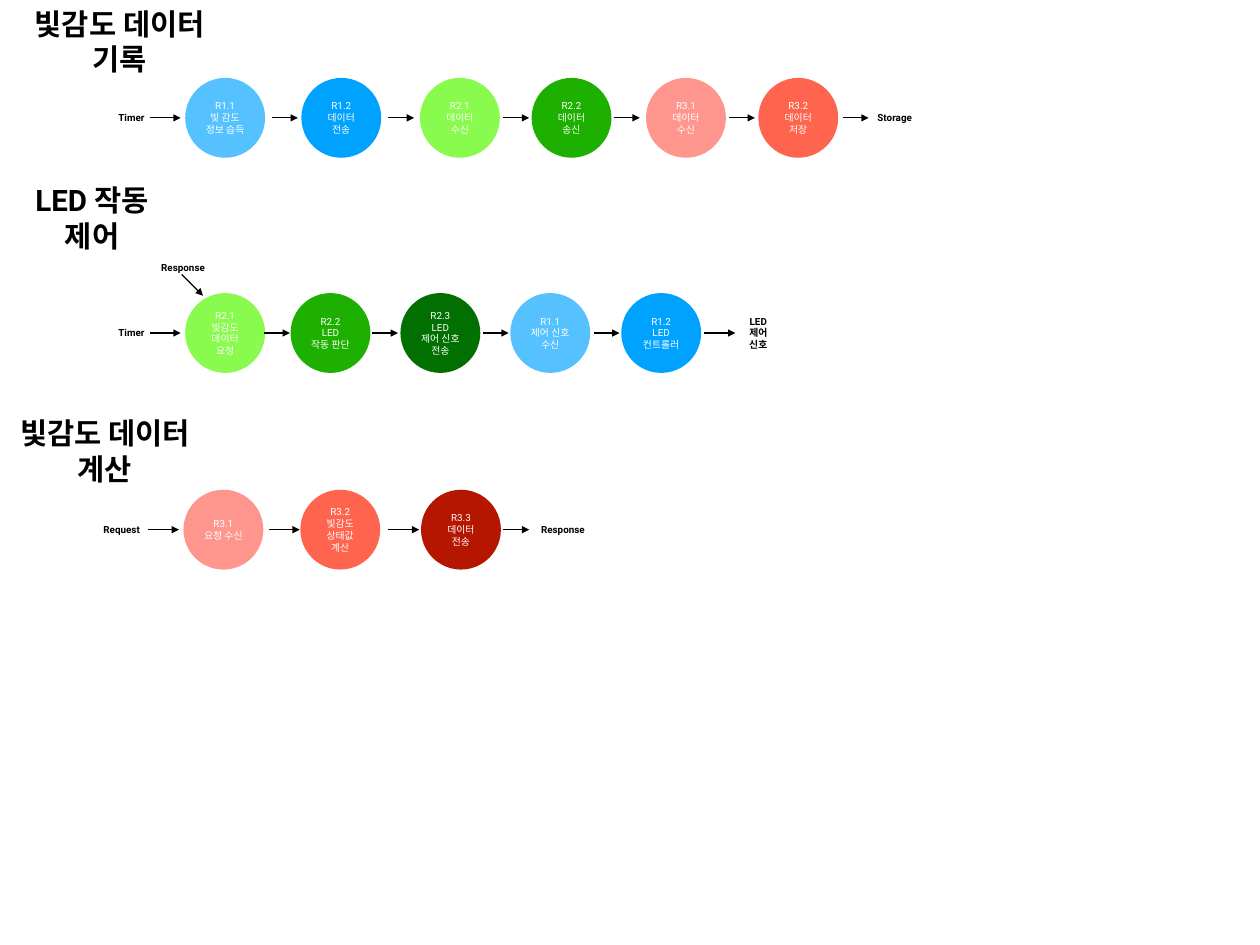
from dataclasses import dataclass

from lxml.etree import SubElement
from pptx import Presentation
from pptx.dml.color import RGBColor
from pptx.enum.shapes import MSO_CONNECTOR, MSO_SHAPE
from pptx.enum.text import MSO_ANCHOR, MSO_AUTO_SIZE, PP_ALIGN
from pptx.oxml.ns import qn
from pptx.util import Cm, Pt


@dataclass(frozen=True)
class Theme:
    font: str = "Roboto"
    ink: str = "000000"
    paper: str = "FFFFFF"
    light_blue: str = "56C1FF"
    blue: str = "00A2FF"
    light_green: str = "89FA4E"
    green: str = "1EB001"
    dark_green: str = "027001"
    light_red: str = "FF968D"
    red: str = "FF644E"
    dark_red: str = "B51600"
    heading_size: float = 24
    body_size: float = 8
    line_width: float = 1


THEME = Theme()
DIAMETER = 2.29
INSET = 0.15
SHORT, LONG = 0.74, 0.89

FLOWS = [
    {
        "heading": ("빛감도 데이터 기록", 3.43, 1.18, 5.2),
        "middle": 3.38,
        "steps": [
            (5.31, THEME.light_blue, "R1.1\n빛 감도 정보 습득"),
            (8.64, THEME.blue, "R1.2\n데이터 전송"),
            (12.04, THEME.light_green, "R2.1\n데이터 수신"),
            (15.24, THEME.green, "R2.2\n데이터 송신"),
            (18.52, THEME.light_red, "R3.1\n데이터 수신"),
            (21.74, THEME.red, "R3.2\n데이터 저장"),
        ],
        "arrows": [(4.29, LONG), (7.8, SHORT), (11.13, SHORT), (14.43, SHORT),
                   (17.6, SHORT), (20.9, SHORT), (24.16, SHORT)],
        "labels": [("Timer", 3.77), ("Storage", 25.65)],
    },
    {
        "heading": ("LED 작동 제어", 2.64, 6.24, 4.2),
        "middle": 9.55,
        "steps": [
            (5.31, THEME.light_green, "R2.1\n빛감도 데이터\n요청"),
            (8.33, THEME.green, "R2.2\nLED\n작동 판단"),
            (11.48, THEME.dark_green, "R2.3\nLED\n제어 신호 전송"),
            (14.63, THEME.light_blue, "R1.1\n제어 신호 수신"),
            (17.81, THEME.blue, "R1.2\nLED\n컨트롤러"),
        ],
        "arrows": [(4.29, LONG), (7.57, SHORT), (10.67, SHORT), (13.84, SHORT),
                   (17.02, SHORT), (20.19, LONG)],
        "labels": [("Timer", 3.77)],
    },
    {
        "heading": ("빛감도 데이터 계산", 3.01, 12.92, 5.2),
        "middle": 15.19,
        "steps": [
            (5.26, THEME.light_red, "R3.1\n요청 수신"),
            (8.61, THEME.red, "R3.2\n빛감도 상태값\n계산"),
            (12.07, THEME.dark_red, "R3.3\n데이터 전송"),
        ],
        "arrows": [(4.24, LONG), (7.7, LONG), (11.13, LONG), (14.43, SHORT)],
        "labels": [("Request", 3.49), ("Response", 16.14)],
    },
]


def write_text(shape, text, size, color, bold, wrap=True):
    frame = shape.text_frame
    frame.text = text
    frame.word_wrap = wrap
    frame.auto_size = MSO_AUTO_SIZE.NONE
    frame.vertical_anchor = MSO_ANCHOR.MIDDLE
    frame.margin_left = frame.margin_right = Cm(INSET)
    frame.margin_top = frame.margin_bottom = Cm(INSET)
    for paragraph in frame.paragraphs:
        paragraph.alignment = PP_ALIGN.CENTER
        paragraph.font.name = THEME.font
        paragraph.font.size = Pt(size)
        paragraph.font.bold = bold
        paragraph.font.color.rgb = RGBColor.from_string(color)


def place_centered(shape, center, middle, width, height):
    shape.left, shape.top = Cm(center - width / 2), Cm(middle - height / 2)
    shape.width, shape.height = Cm(width), Cm(height)


def format_heading(shape, text, center, middle, width):
    place_centered(shape, center, middle, width, 2.4)
    write_text(shape, text, THEME.heading_size, THEME.ink, True)


def add_label(slide, text, center, middle, width=1.5, height=0.64, wrap=False):
    label = slide.shapes.add_textbox(0, 0, 0, 0)
    place_centered(label, center, middle, width, height)
    write_text(label, text, THEME.body_size, THEME.ink, True, wrap)


def add_step(slide, left, middle, color, text):
    circle = slide.shapes.add_shape(
        MSO_SHAPE.OVAL, Cm(left), Cm(middle - DIAMETER / 2), Cm(DIAMETER), Cm(DIAMETER))
    circle.shadow.inherit = False
    circle.fill.solid()
    circle.fill.fore_color.rgb = RGBColor.from_string(color)
    circle.line.fill.background()
    write_text(circle, text, THEME.body_size, THEME.paper, False)


def add_arrow(slide, start_x, start_y, end_x, end_y):
    arrow = slide.shapes.add_connector(
        MSO_CONNECTOR.STRAIGHT, Cm(start_x), Cm(start_y), Cm(end_x), Cm(end_y))
    arrow.line.width = Pt(THEME.line_width)
    arrow.line.color.rgb = RGBColor.from_string(THEME.ink)
    SubElement(arrow.line._get_or_add_ln(), qn("a:tailEnd"), type="triangle")
    SubElement(arrow._element.spPr, qn("a:effectLst"))


def add_flow(slide, flow, heading_shape):
    middle = flow["middle"]
    format_heading(heading_shape, *flow["heading"])
    for left, color, text in flow["steps"]:
        add_step(slide, left, middle, color, text)
    for start, length in flow["arrows"]:
        add_arrow(slide, start, middle, start + length, middle)
    for text, center in flow["labels"]:
        add_label(slide, text, center, middle)


def main():
    presentation = Presentation()
    presentation.slide_width, presentation.slide_height = Cm(36.12), Cm(27.1)
    slide = presentation.slides.add_slide(presentation.slide_layouts[5])
    for index, flow in enumerate(FLOWS):
        heading_shape = slide.shapes.add_textbox(0, 0, 0, 0) if index else slide.shapes.title
        add_flow(slide, flow, heading_shape)
    add_label(slide, "Response", 5.25, 7.66)
    add_arrow(slide, 5.21, 7.87, 5.82, 8.48)
    add_label(slide, "LED\n제어 신호", 21.74, FLOWS[1]["middle"], 1.2, 1.3, True)
    presentation.save("out.pptx")


main()
